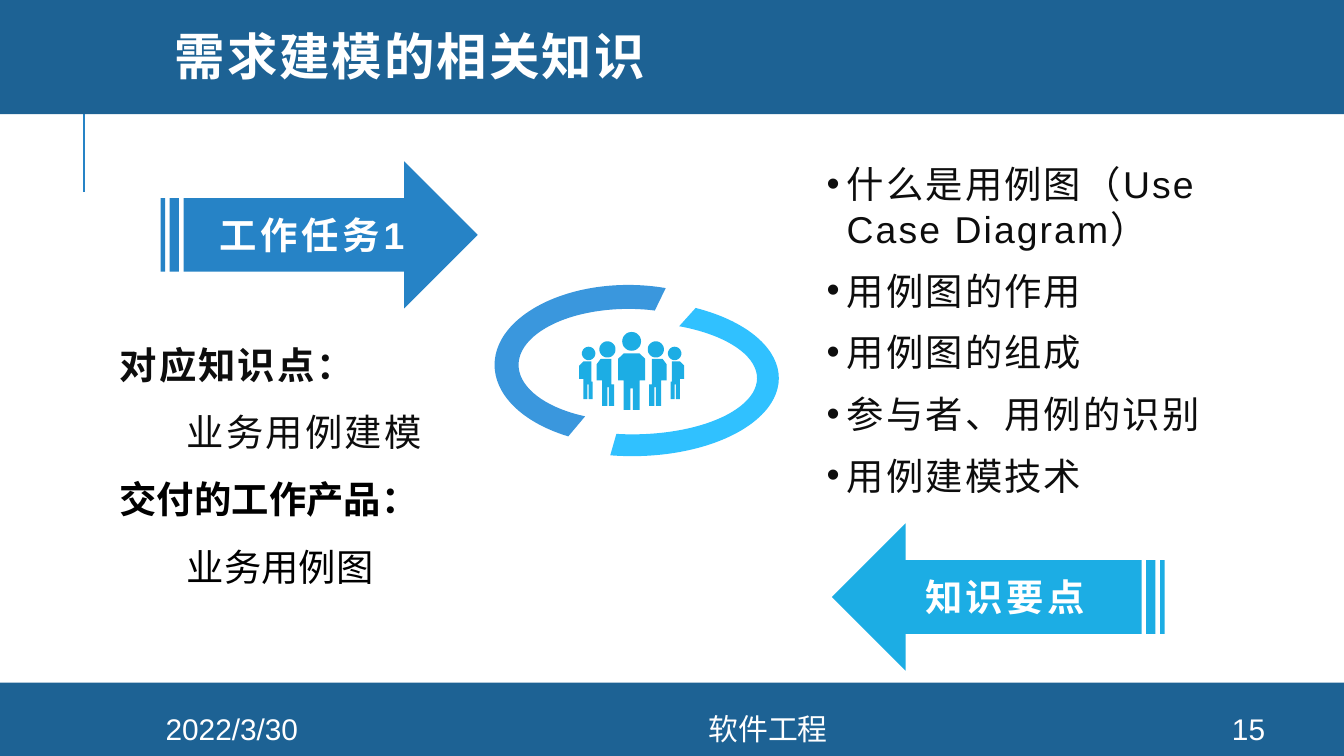
from dataclasses import dataclass
from math import cos, pi, sin

from lxml.etree import SubElement
from pptx import Presentation
from pptx.dml.color import RGBColor
from pptx.enum.shapes import MSO_CONNECTOR as Line, MSO_SHAPE as Preset
from pptx.enum.text import MSO_ANCHOR as Anchor, MSO_AUTO_SIZE as AutoSize, PP_ALIGN as Align
from pptx.oxml.ns import qn
from pptx.util import Pt

EMU_PER_PX = 4572  # 200 px to the inch
ICON_UNIT = 2 * EMU_PER_PX  # the team is drawn on a grid of 2 px
ICON_DETAIL = 12  # steps per grid unit, keeps the heads round
COLORS = {
    "bar": "1D6294", "blue": "2683C6", "cyan": "1CADE4", "arc_blue": "3A97DD",
    "arc_cyan": "30C1FF", "white": "FFFFFF", "ink": "0D0D0D", "black": "000000",
}


@dataclass(frozen=True)
class Box:
    left: int
    top: int
    width: int
    height: int

    def emu(self) -> list[int]:
        return [px(n) for n in (self.left, self.top, self.width, self.height)]


@dataclass(frozen=True)
class Style:
    size: int
    color: str
    bold: bool = False
    spacing: int = 0  # hundredths of a point
    font: str = "Arial"


@dataclass(frozen=True)
class Item:
    text: str
    style: Style
    margin: int = 0
    indent: int = 0
    bullet: str = ""
    line_spacing: float = 1.0
    before: int = 0


@dataclass(frozen=True)
class Arrow:
    box: Box
    label: str
    color: str
    flipped: bool = False


@dataclass(frozen=True)
class Arc:
    box: Box
    rotation: int
    start: int  # degrees
    end: int
    thickness: float
    color: str


@dataclass(frozen=True)
class Person:
    head: tuple[int, int, int]  # centre x, centre y, radius
    body: list[tuple[int, int]]


def px(n: int) -> int:
    return n * EMU_PER_PX


def rgb(name: str) -> RGBColor:
    return RGBColor.from_string(COLORS[name])


def paint(shape, color: str) -> None:
    shape.shadow.inherit = False
    shape.fill.solid()
    shape.fill.fore_color.rgb = rgb(color)
    shape.line.fill.background()


def add_run(paragraph, text: str, style: Style) -> None:
    run = paragraph.add_run()
    run.text = text
    font = run.font
    font.name, font.size, font.bold = style.font, Pt(style.size), style.bold
    font.color.rgb = rgb(style.color)
    run._r.get_or_add_rPr().set("spc", str(style.spacing))


def add_bar(slide, box: Box) -> None:
    paint(slide.shapes.add_shape(Preset.RECTANGLE, *box.emu()), "bar")


def add_arrow(slide, arrow: Arrow) -> None:
    shape = slide.shapes.add_shape(Preset.STRIPED_RIGHT_ARROW, *arrow.box.emu())
    paint(shape, arrow.color)
    if arrow.flipped:
        shape._element.spPr.find(qn("a:xfrm")).set("flipH", "1")
    shape.text_frame.vertical_anchor = Anchor.MIDDLE
    paragraph = shape.text_frame.paragraphs[0]
    paragraph.alignment = Align.CENTER
    add_run(paragraph, arrow.label, Style(20, "white", True, 190))


def add_arc(slide, arc: Arc) -> None:
    shape = slide.shapes.add_shape(Preset.BLOCK_ARC, *arc.box.emu())
    shape.rotation = arc.rotation
    # Angles are stored in 60000ths of a degree, scaled by 100000
    for i, value in enumerate((arc.start * 0.6, arc.end * 0.6, arc.thickness)):
        shape.adjustments[i] = value
    paint(shape, arc.color)


def add_people(slide, people: list[Person]) -> None:
    contours = []
    for person in people:
        x, y, radius = person.head
        angles = [2 * pi * i / 32 for i in range(32)]
        contours.append([(x + radius * cos(a), y + radius * sin(a)) for a in angles])
        contours.append(person.body)
    fine = [[(x * ICON_DETAIL, y * ICON_DETAIL) for x, y in contour] for contour in contours]
    builder = slide.shapes.build_freeform(*fine[0][0], scale=ICON_UNIT / ICON_DETAIL)
    for contour in fine:
        builder.move_to(*contour[0])
        builder.add_line_segments(contour[1:], close=True)
    paint(builder.convert_to_shape(), "cyan")


def mirror(person: Person, axis: int) -> Person:
    x, y, radius = person.head
    return Person((2 * axis - x, y, radius), [(2 * axis - bx, by) for bx, by in person.body])


def fill_placeholder(slide, holder, box: Box, items: list[Item], anchor, auto_size) -> None:
    holder.left, holder.top, holder.width, holder.height = box.emu()
    slide.shapes._spTree.append(holder._element)  # in front of the bars
    frame = holder.text_frame
    frame.word_wrap, frame.vertical_anchor, frame.auto_size = True, anchor, auto_size
    for i, item in enumerate(items):
        paragraph = frame.add_paragraph() if i else frame.paragraphs[0]
        props = paragraph._p.get_or_add_pPr()
        props.set("marL", str(px(item.margin)))
        props.set("indent", str(px(item.indent)))
        if item.bullet:
            SubElement(props, qn("a:buFont")).set("typeface", "Arial")
            SubElement(props, qn("a:buChar")).set("char", item.bullet)
        else:
            SubElement(props, qn("a:buNone"))
        paragraph.alignment = Align.LEFT
        paragraph.line_spacing = item.line_spacing
        paragraph.space_before = Pt(item.before if i else 0)
        paragraph.space_after = Pt(0)
        add_run(paragraph, item.text, item.style)


def add_footer(slide, left: int, width: int, text: str) -> None:
    frame = slide.shapes.add_textbox(*Box(left, 1062, width, 46).emu()).text_frame
    frame.word_wrap, frame.vertical_anchor = True, Anchor.MIDDLE
    frame.margin_top = frame.margin_bottom = 0
    frame.paragraphs[0].alignment = Align.CENTER
    add_run(frame.paragraphs[0], text, Style(16, "white"))


def main() -> None:
    deck = Presentation()
    deck.slide_width, deck.slide_height = px(2000), px(1125)
    slide = deck.slides.add_slide(deck.slide_layouts[3])
    title, knowledge, topics = slide.placeholders

    # Accent line and bars
    accent = slide.shapes.add_connector(Line.STRAIGHT, px(125), px(286), px(125), px(136))
    accent.line.color.rgb, accent.line.width = rgb("blue"), Pt(1.5)
    SubElement(accent._element.spPr, qn("a:effectLst"))
    add_bar(slide, Box(0, 1016, 2000, 109))
    add_bar(slide, Box(0, -6, 2000, 176))

    # Arrows
    add_arrow(slide, Arrow(Box(239, 240, 472, 219), "工作任务1", "blue"))
    add_arrow(slide, Arrow(Box(1238, 779, 495, 219), "知识要点", "cyan", flipped=True))

    # Ring around the team
    add_arc(slide, Arc(Box(825, 345, 232, 436), 90, 222, 16, 0.14, "arc_cyan"))
    add_arc(slide, Arc(Box(816, 344, 238, 398), 270, 220, 26, 0.15, "arc_blue"))

    # Team: a leader and two mirrored pairs
    leader = Person((470, 254, 7), [
        (460, 283), (460, 267), (464, 263), (476, 263), (480, 267), (480, 283), (476, 283),
        (476, 305), (471, 305), (471, 289), (469, 289), (469, 305), (464, 305), (464, 283)])
    inner = Person((452, 260, 6), [
        (457, 286), (457, 302), (453, 302), (453, 288), (452, 288), (452, 302), (448, 302),
        (448, 283), (444, 283), (444, 271), (447, 267), (455, 267), (455, 286)])
    outer = Person((438, 263, 5), [
        (441, 284), (441, 297), (438, 297), (438, 286), (437, 286), (437, 297), (434, 297),
        (434, 282), (431, 282), (431, 272), (434, 269), (440, 269), (440, 284)])
    add_people(slide, [leader, inner, outer, mirror(inner, 470), mirror(outer, 470)])

    # Title and lists
    heading = Item("需求建模的相关知识", Style(27, "white", True, 110, "Montserrat"), line_spacing=0.8)
    fill_placeholder(slide, title, Box(240, 0, 1698, 182), [heading], Anchor.MIDDLE, AutoSize.NONE)
    sections = [("对应知识点：", "业务用例建模", "ink", 110), ("交付的工作产品：", "业务用例图", "black", 0)]
    knowledge_items = []
    for label, detail, color, spacing in sections:
        knowledge_items += [
            Item(label, Style(20, color, True, spacing), line_spacing=1.5),
            Item(detail, Style(20, color, False, spacing), margin=100, line_spacing=1.5)]
    fill_placeholder(slide, knowledge, Box(158, 466, 578, 424), knowledge_items,
                     Anchor.TOP, AutoSize.SHAPE_TO_FIT_TEXT)
    topic_names = ["什么是用例图（Use Case Diagram）", "用例图的作用", "用例图的组成",
                   "参与者、用例的识别", "用例建模技术"]
    topic_items = [Item(name, Style(20, "ink", False, 110), 30, -30, "•", before=9)
                   for name in topic_names]
    fill_placeholder(slide, topics, Box(1210, 230, 748, 526), topic_items,
                     Anchor.TOP, AutoSize.SHAPE_TO_FIT_TEXT)

    # Footer
    for left, width, text in [(1778, 160, "15"), (168, 354, "2022/3/30"), (522, 1242, "软件工程")]:
        add_footer(slide, left, width, text)

    deck.save("out.pptx")


if __name__ == "__main__":
    main()
